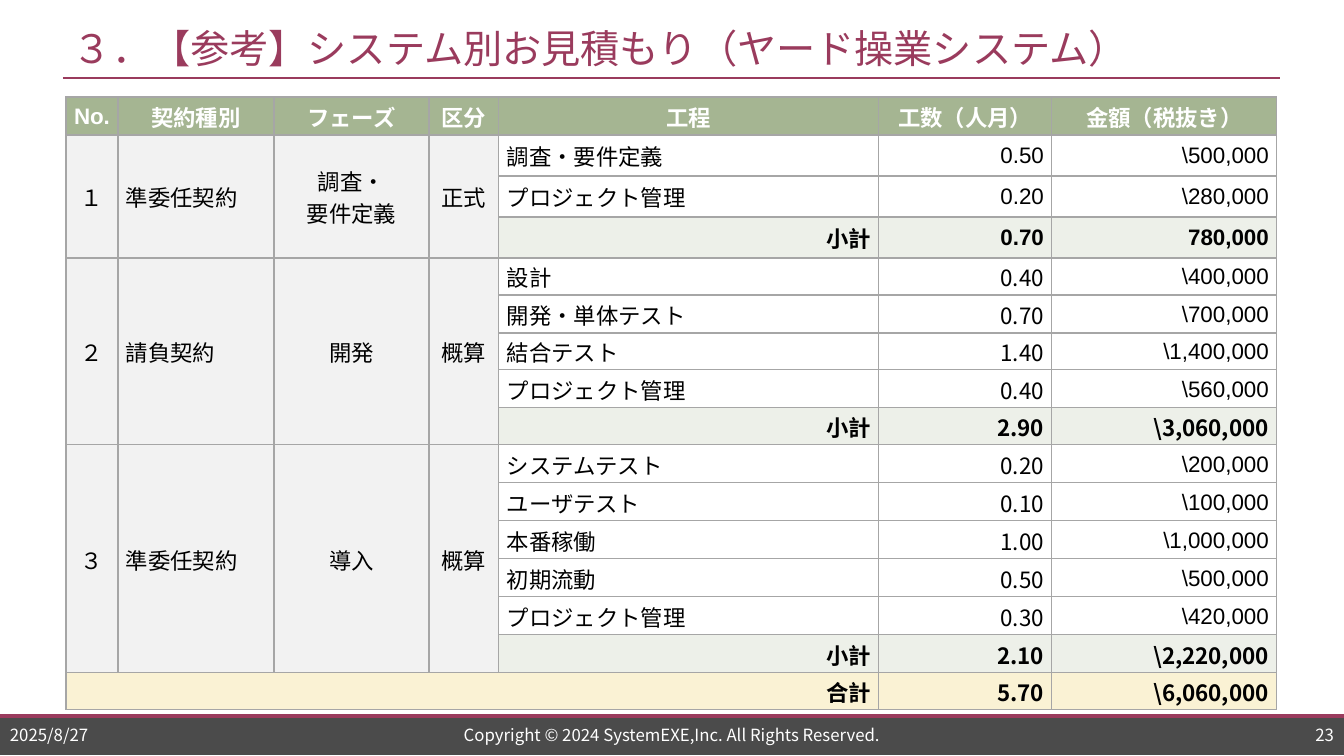
import dataclasses
import pptx
import pptx.dml.color
import pptx.enum.shapes
import pptx.enum.text
import pptx.oxml
import pptx.oxml.ns
import pptx.util

ALIGN = pptx.enum.text.PP_ALIGN
LEFT, CENTER, RIGHT = ALIGN.LEFT, ALIGN.CENTER, ALIGN.RIGHT


@dataclasses.dataclass(frozen=True)
class Theme:
    accent: str = "9A3B5D"
    footer: str = "4B4B4B"
    white: str = "FFFFFF"
    black: str = "000000"
    border: str = "A6A6A6"
    header: str = "A5B592"
    group: str = "F2F2F2"
    subtotal: str = "EDF0E9"
    total: str = "FAF2D4"
    japanese: str = "Noto Sans CJK JP"
    latin: str = "Arial"
    title_size: int = 28
    table_size: int = 16
    footer_size: int = 12


def px(value):
    return pptx.util.Emu(round(value * 12192000 / 1344))


def rgb(value):
    return pptx.dml.color.RGBColor.from_string(value)


def set_attributes(target, values):
    for name, value in values.items():
        setattr(target, name, value)


class SlideBuilder:
    def __init__(self, slide, theme):
        self.slide = slide
        self.theme = theme

    def rectangle(self, left, top, width, height, color):
        shape = self.slide.shapes.add_shape(
            pptx.enum.shapes.MSO_SHAPE.RECTANGLE, px(left), px(top), px(width), px(height))
        shape.shadow.inherit = False
        shape.fill.solid()
        shape.fill.fore_color.rgb = rgb(color)
        shape.line.fill.background()

    def rule(self, left, right, top, weight):
        connector = self.slide.shapes.add_connector(
            pptx.enum.shapes.MSO_CONNECTOR.STRAIGHT, px(left), px(top), px(right), px(top))
        connector.line.color.rgb = rgb(self.theme.accent)
        connector.line.width = pptx.util.Pt(weight)
        properties = connector._element.spPr
        properties.append(properties.makeelement(pptx.oxml.ns.qn("a:effectLst"), {}))

    def add_lines(self, frame, text, size, color, align, font, bold=False):
        for index, line in enumerate(text.split("\n")):
            paragraph = frame.add_paragraph() if index else frame.paragraphs[0]
            paragraph.alignment = align
            run = paragraph.add_run()
            run.text = line
            set_attributes(run.font, {"size": pptx.util.Pt(size), "bold": bold, "name": font})
            run.font.color.rgb = rgb(color)
            properties = run.font._element
            properties.append(properties.makeelement(
                pptx.oxml.ns.qn("a:ea"), {"typeface": self.theme.japanese}))

    def text(self, left, top, width, height, text, size, color, align=LEFT):
        frame = self.slide.shapes.add_textbox(
            px(left), px(top), px(width), px(height)).text_frame
        set_attributes(frame, {
            "word_wrap": True,
            "vertical_anchor": pptx.enum.text.MSO_ANCHOR.MIDDLE,
            "margin_top": 0, "margin_bottom": 0})
        self.add_lines(frame, text, size, color, align, self.theme.japanese)

    def table(self, left, top, widths, heights):
        table = self.slide.shapes.add_table(
            len(heights), len(widths), px(left), px(top),
            px(sum(widths)), px(sum(heights))).table
        set_attributes(table, {"first_row": False, "horz_banding": False})
        for column, width in zip(table.columns, widths):
            column.width = px(width)
        for row, height in zip(table.rows, heights):
            row.height = px(height)
        for cell in table.iter_cells():
            self.fill(cell, self.theme.white)
            self.borders(cell)
        return table

    def fill(self, cell, color):
        cell.fill.solid()
        cell.fill.fore_color.rgb = rgb(color)

    def borders(self, cell):
        properties = cell._tc.get_or_add_tcPr()
        for index, side in enumerate("LRTB"):
            properties.insert(index, pptx.oxml.parse_xml(
                f'<a:ln{side} {pptx.oxml.ns.nsdecls("a")} w="12700"><a:solidFill>'
                f'<a:srgbClr val="{self.theme.border}"/></a:solidFill></a:ln{side}>'))

    def cell(self, cell, text, align, color=None, font=None, bold=False, ink=None, margin=8):
        if color:
            self.fill(cell, color)
        set_attributes(cell, {
            "vertical_anchor": pptx.enum.text.MSO_ANCHOR.MIDDLE,
            "margin_left": px(margin), "margin_right": px(margin),
            "margin_top": px(1), "margin_bottom": 0})
        self.add_lines(cell.text_frame, text, self.theme.table_size, ink or self.theme.black,
                       align, font or self.theme.latin, bold)


HEADERS = ["No.", "契約種別", "フェーズ", "区分", "工程", "工数（人月）", "金額（税抜き）"]
PHASES = [
    (["１", "準委任契約", "調査・\n要件定義", "正式"], [
        ("調査・要件定義", "0.50", "\\500,000"),
        ("プロジェクト管理", "0.20", "\\280,000"),
        ("小計", "0.70", "780,000")]),
    (["２", "請負契約", "開発", "概算"], [
        ("設計", "0.40", "\\400,000"),
        ("開発・単体テスト", "0.70", "\\700,000"),
        ("結合テスト", "1.40", "\\1,400,000"),
        ("プロジェクト管理", "0.40", "\\560,000"),
        ("小計", "2.90", "\\3,060,000")]),
    (["３", "準委任契約", "導入", "概算"], [
        ("システムテスト", "0.20", "\\200,000"),
        ("ユーザテスト", "0.10", "\\100,000"),
        ("本番稼働", "1.00", "\\1,000,000"),
        ("初期流動", "0.50", "\\500,000"),
        ("プロジェクト管理", "0.30", "\\420,000"),
        ("小計", "2.10", "\\2,220,000")]),
]
TOTAL = ("合計", "5.70", "\\6,060,000")
WIDTHS = [52, 156, 155, 70, 380, 173, 225]
HEIGHTS = [38] + [41] * 3 + [37, 38, 37, 38, 37] + [38] * 6 + [37]


def add_step(builder, table, row, values, color, bold, fonts):
    for column, (value, font) in enumerate(zip(values, fonts), 4):
        align = RIGHT if bold or column > 4 else LEFT
        builder.cell(table.cell(row, column), value, align, color, font, bold)


def add_estimate(builder):
    theme = builder.theme
    table = builder.table(66, 97, WIDTHS, HEIGHTS)
    for column, header in enumerate(HEADERS):
        builder.cell(table.cell(0, column), header, CENTER, theme.header,
                     bold=True, ink=theme.white, margin=1)
    row = 1
    for number, (labels, steps) in enumerate(PHASES):
        effort_font = theme.japanese if number else theme.latin
        for column, label in enumerate(labels):
            cell = table.cell(row, column)
            cell.merge(table.cell(row + len(steps) - 1, column))
            builder.cell(cell, label, LEFT if column == 1 else CENTER, theme.group,
                         margin=8 if column else 0)
        for step in steps:
            subtotal = step is steps[-1]
            amount_font = effort_font if subtotal else theme.latin
            add_step(builder, table, row, step, theme.subtotal if subtotal else None,
                     subtotal, (theme.latin, effort_font, amount_font))
            row += 1
    table.cell(row, 0).merge(table.cell(row, 4))
    builder.cell(table.cell(row, 0), TOTAL[0], RIGHT, theme.total, bold=True)
    for column, value in enumerate(TOTAL[1:], 5):
        builder.cell(table.cell(row, column), value, RIGHT, theme.total, theme.japanese, True)


def main():
    theme = Theme()
    presentation = pptx.Presentation()
    set_attributes(presentation, {"slide_width": px(1344), "slide_height": px(756)})
    slide = presentation.slides.add_slide(presentation.slide_layouts[6])
    builder = SlideBuilder(slide, theme)
    builder.rectangle(0, 716, 1344, 39, theme.footer)
    builder.rule(0, 1344, 716, 2.75)
    builder.rule(63, 1280, 78, 1.5)
    builder.text(63, 20, 1217, 55, "３．【参考】システム別お見積もり（ヤード操業システム）",
                 theme.title_size, theme.accent)
    for left, width, text, align in [
            (335, 674, "Copyright © 2024 SystemEXE,Inc. All Rights Reserved.", CENTER),
            (0, 158, "2025/8/27", LEFT),
            (1186, 158, "23", RIGHT)]:
        builder.text(left, 723, width, 24, text, theme.footer_size, theme.white, align)
    add_estimate(builder)
    presentation.save("out.pptx")


if __name__ == "__main__":
    main()
